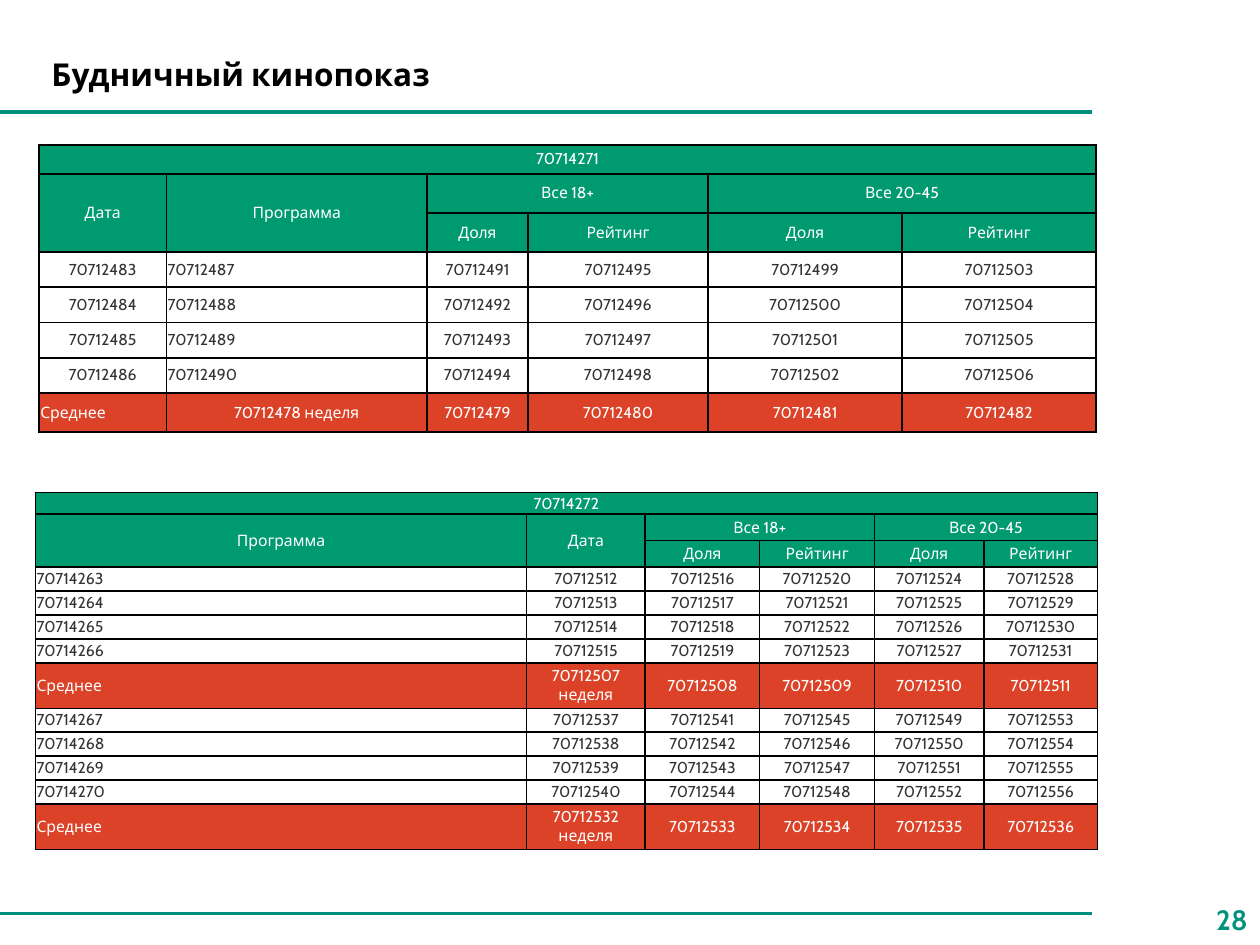
from lxml import etree
from pptx import Presentation
from pptx import util as u
from pptx.dml.color import RGBColor
from pptx.enum import shapes, text
from pptx.oxml import ns

COLORS = {"rule": "008F7D", "number": "00927B", "header": "009A70",
          "average": "DB4227", "body": "333333", "white": "FFFFFF",
          "black": "000000"}
FONT = "Cabin"
LEFT, CENTER, RIGHT = (text.PP_ALIGN.LEFT, text.PP_ALIGN.CENTER,
                       text.PP_ALIGN.RIGHT)

# Three header rows; None marks a cell covered by a merge
AUDIENCES = ["Все 18+", None, "Все 20-45", None]
MEASURES = [None, None, "Доля", "Рейтинг", "Доля", "Рейтинг"]
HEADER_MERGES = [(0, 0, 0, 5), (1, 0, 2, 0), (1, 1, 2, 1),
                 (1, 2, 1, 3), (1, 4, 1, 5)]

WEEK = [
    ["70714271"] + [None] * 5,
    ["Дата", "Программа"] + AUDIENCES,
    MEASURES,
    ["70712483", "70712487", "70712491", "70712495", "70712499", "70712503"],
    ["70712484", "70712488", "70712492", "70712496", "70712500", "70712504"],
    ["70712485", "70712489", "70712493", "70712497", "70712501", "70712505"],
    ["70712486", "70712490", "70712494", "70712498", "70712502", "70712506"],
    ["Среднее", "70712478 неделя", "70712479", "70712480", "70712481", "70712482"],
]
TWO_WEEKS = [
    ["70714272"] + [None] * 5,
    ["Программа", "Дата"] + AUDIENCES,
    MEASURES,
    ["70714263", "70712512", "70712516", "70712520", "70712524", "70712528"],
    ["70714264", "70712513", "70712517", "70712521", "70712525", "70712529"],
    ["70714265", "70712514", "70712518", "70712522", "70712526", "70712530"],
    ["70714266", "70712515", "70712519", "70712523", "70712527", "70712531"],
    ["Среднее", "70712507 неделя", "70712508", "70712509", "70712510", "70712511"],
    ["70714267", "70712537", "70712541", "70712545", "70712549", "70712553"],
    ["70714268", "70712538", "70712542", "70712546", "70712550", "70712554"],
    ["70714269", "70712539", "70712543", "70712547", "70712551", "70712555"],
    ["70714270", "70712540", "70712544", "70712548", "70712552", "70712556"],
    ["Среднее", "70712532 неделя", "70712533", "70712534", "70712535", "70712536"],
]


def rgb(name):
    return RGBColor.from_string(COLORS[name])


def add_run(paragraph, words, size, color, bold=False):
    run = paragraph.add_run()
    run.text = words
    run.font.name, run.font.size, run.font.bold = FONT, u.Pt(size), bold
    run.font.color.rgb = rgb(color)


def add_label(slide, box, words, size, color, align):
    frame = slide.shapes.add_textbox(*map(u.Inches, box)).text_frame
    frame.word_wrap = True
    frame.vertical_anchor = text.MSO_ANCHOR.MIDDLE
    frame.paragraphs[0].alignment = align
    add_run(frame.paragraphs[0], words, size, color, bold=True)


def add_rule(slide, left, top, width):
    rule = slide.shapes.add_connector(
        shapes.MSO_CONNECTOR.STRAIGHT, u.Inches(left), u.Inches(top),
        u.Inches(left + width), u.Inches(top))
    rule.line.color.rgb = rgb("rule")
    rule.line.width = u.Pt(2)
    etree.SubElement(rule._element.spPr, ns.qn("a:effectLst"))


def add_borders(cell):
    properties = cell._tc.get_or_add_tcPr()
    for side in ("lnL", "lnR", "lnT", "lnB"):
        border = etree.SubElement(properties, ns.qn(f"a:{side}"), w=str(u.Pt(1)))
        fill = etree.SubElement(border, ns.qn("a:solidFill"))
        etree.SubElement(fill, ns.qn("a:srgbClr"), val=COLORS["black"])


def style_cell(cell, words, fill, align):
    add_borders(cell)
    if fill:
        cell.fill.solid()
        cell.fill.fore_color.rgb = rgb(fill)
    else:
        cell.fill.background()
    # Cells with words get more room above and below than plain numbers
    padding = 0.01 if not words or words.isdigit() else 0.03
    cell.margin_left = cell.margin_right = u.Inches(0.01)
    cell.margin_top = cell.margin_bottom = u.Inches(padding)
    cell.vertical_anchor = text.MSO_ANCHOR.MIDDLE
    paragraph = cell.text_frame.paragraphs[0]
    paragraph.alignment = align
    if words:
        add_run(paragraph, words, 9, "white" if fill else "body")
    else:
        etree.SubElement(paragraph._p, ns.qn("a:endParaRPr"), sz="100")


def add_ratings(slide, left, top, widths, heights, rows, program_column):
    table = slide.shapes.add_table(
        len(rows), len(widths), u.Inches(left), u.Inches(top),
        u.Inches(sum(widths)), u.Inches(sum(heights))).table
    table.first_row = table.horz_banding = False
    for column, width in zip(table.columns, widths):
        column.width = u.Inches(width)
    for r, (row, height) in enumerate(zip(rows, heights)):
        table.rows[r].height = u.Inches(height)
        average = row[0] == "Среднее"
        fill = "header" if r < 3 else "average" if average else None
        left_column = 0 if average else program_column
        for c, words in enumerate(row):
            align = LEFT if r > 2 and c == left_column else CENTER
            style_cell(table.cell(r, c), words, fill, align)
    for r1, c1, r2, c2 in HEADER_MERGES:
        table.cell(r1, c1).merge(table.cell(r2, c2))


def add_frame(slide, width):
    # Heading, rules and page number
    add_rule(slide, 0, 0.89, width)
    add_rule(slide, 0, 7.25, width)
    add_label(slide, (0.31, 0.39, 8.52, 0.4), "Будничный кинопоказ",
              18, "black", LEFT)
    add_label(slide, (9.48, 7.1, 0.52, 0.4), "28", 16, "number", RIGHT)


def main():
    deck = Presentation()
    deck.slide_width, deck.slide_height = u.Inches(10), u.Inches(7.5)
    slide = deck.slides.add_slide(deck.slide_layouts[6])
    add_frame(slide, 8.67)
    # One week, then two weeks with an average under each
    add_ratings(slide, 0.31, 1.15, [1.01, 2.07, 0.8, 1.43, 1.54, 1.54],
                [0.23] + [0.31] * 2 + [0.28] * 4 + [0.31], WEEK, 1)
    add_ratings(slide, 0.28, 3.91, [3.9, 0.94, 0.91, 0.91, 0.87, 0.9],
                [0.16] + [0.21] * 2 + ([0.19] * 4 + [0.36]) * 2, TWO_WEEKS, 0)
    deck.save("out.pptx")


if __name__ == "__main__":
    main()
